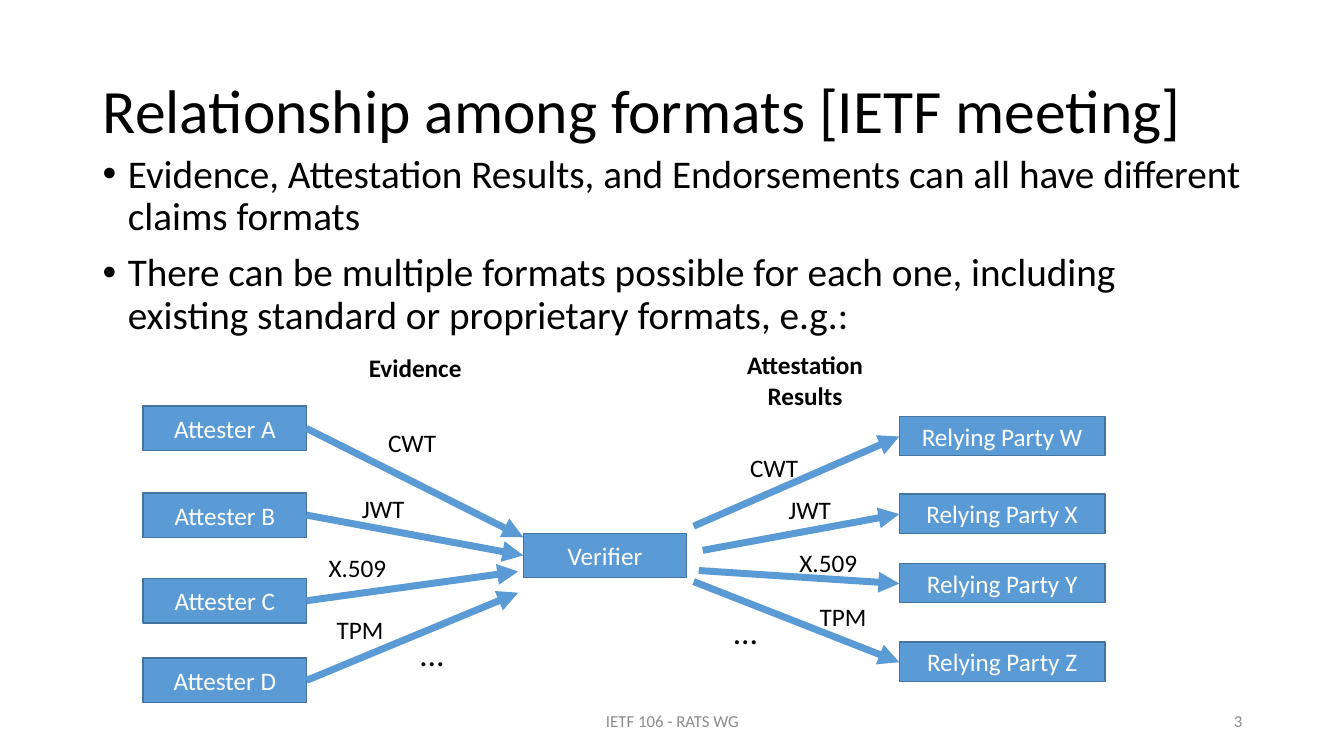
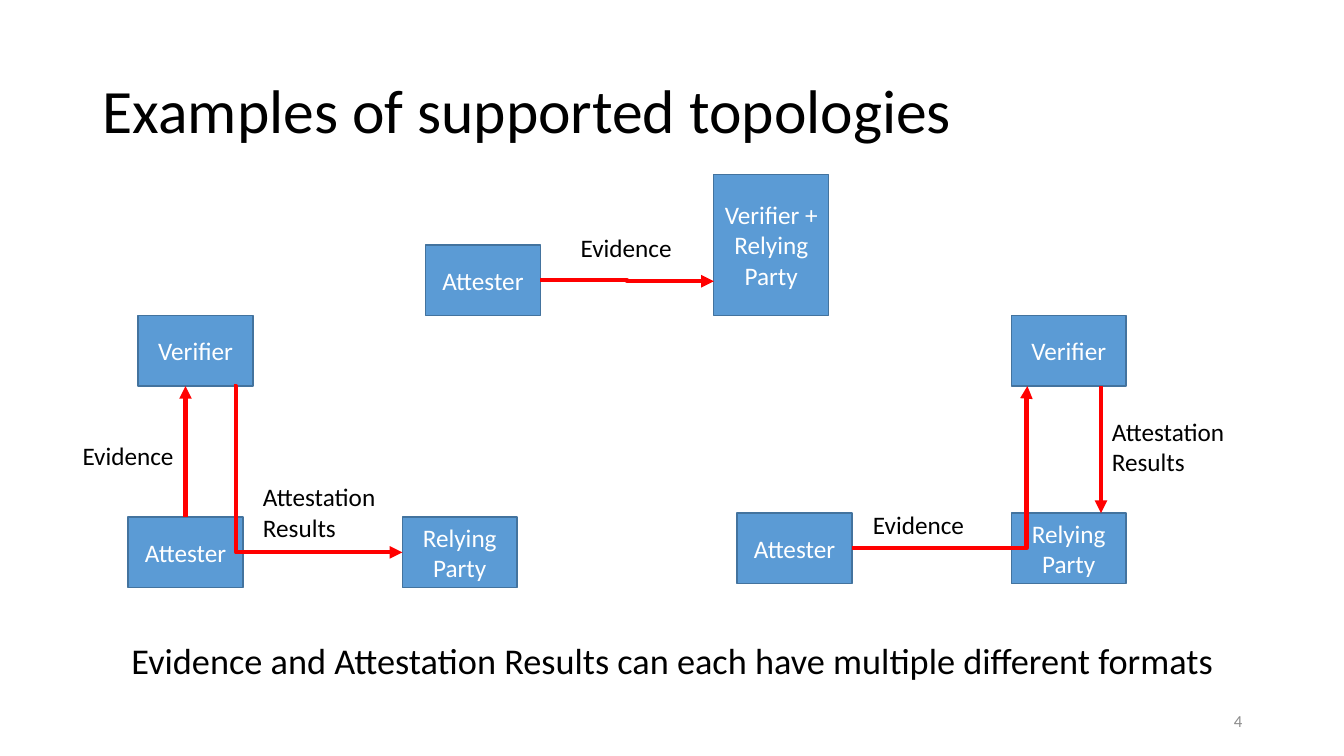
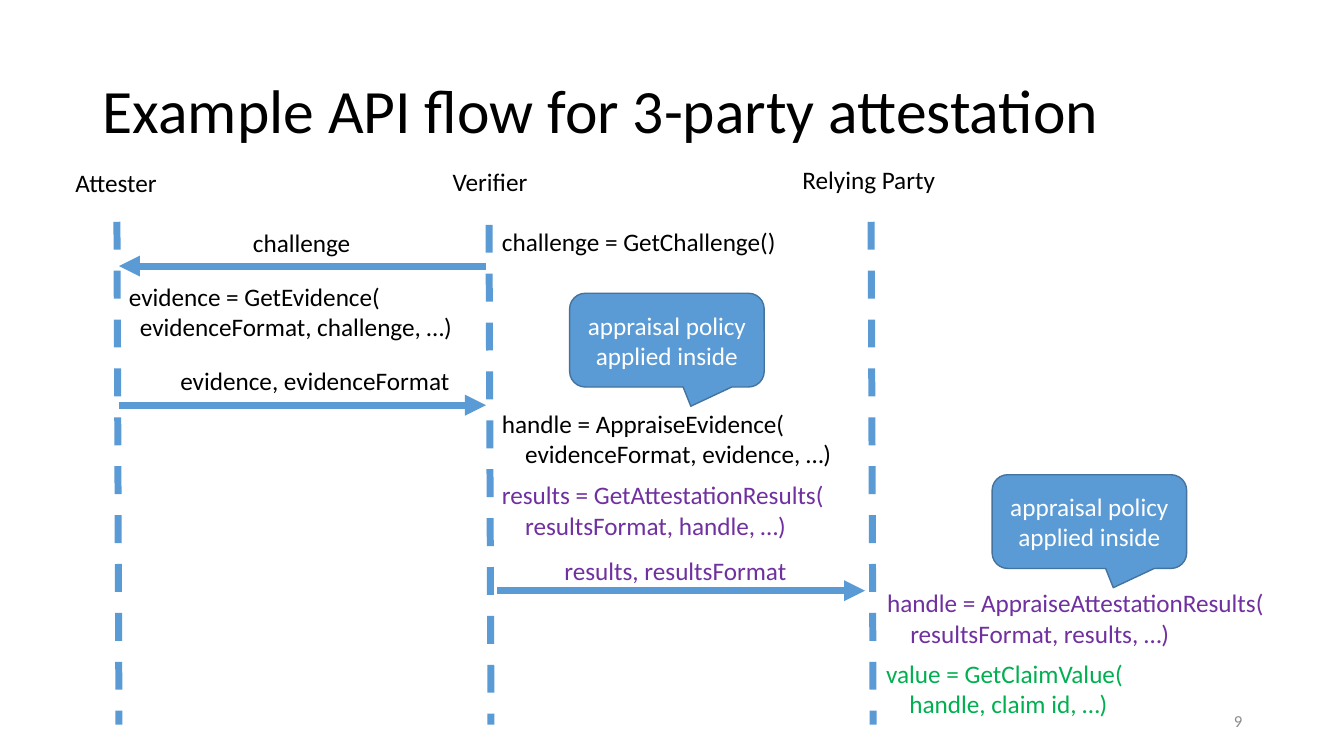
from lxml import etree
from pptx import Presentation, util as u
from pptx.dml.color import RGBColor
from pptx.enum import dml, shapes, text
from pptx.oxml.ns import qn

COLORS = {
    "ink": "000000", "white": "FFFFFF", "muted": "8C8C8C",
    "blue": "5B9BD5", "outline": "43739E", "red": "FF0000",
    "purple": "7030A0", "green": "00B050",
}
ALIGN = text.PP_ALIGN
MIDDLE = text.MSO_ANCHOR.MIDDLE


class Deck:
    """Holds the shared style and the current slide, and draws each kind of element."""

    font = "Calibri"

    def __init__(self):
        self.presentation = Presentation()
        self.presentation.slide_width = u.Inches(13.33)
        self.presentation.slide_height = u.Inches(7.5)
        self.slide = None

    def color(self, name):
        return RGBColor.from_string(COLORS[name])

    def start(self, title, number):
        self.slide = self.presentation.slides.add_slide(self.presentation.slide_layouts[6])
        self.block(title, 0.92, 0.4, 11.5, 1.45, 44, anchor=MIDDLE, line_spacing=0.9)
        self.block(str(number), 9.42, 6.95, 3, 0.4, 12, "muted", ALIGN.RIGHT, MIDDLE)

    def set_text(self, frame, content, size, color, align=ALIGN.LEFT, bold=False):
        frame.text = content
        for paragraph in frame.paragraphs:
            paragraph.alignment = align
            paragraph.font.name = self.font
            paragraph.font.size = u.Pt(size)
            paragraph.font.bold = bold
            paragraph.font.color.rgb = self.color(color)

    def indent(self, paragraph, left, first=0):
        properties = paragraph._p.get_or_add_pPr()
        properties.set("marL", str(u.Inches(left)))
        properties.set("indent", str(u.Inches(first)))
        return properties

    def block(self, content, left, top, width, height, size, color="ink",
              align=ALIGN.LEFT, anchor=text.MSO_ANCHOR.TOP, line_spacing=1.0, space_before=0):
        shape = self.slide.shapes.add_textbox(*map(u.Inches, (left, top, width, height)))
        frame = shape.text_frame
        frame.word_wrap = True
        frame.vertical_anchor = anchor
        self.set_text(frame, content, size, color, align)
        for paragraph in frame.paragraphs:
            paragraph.line_spacing = line_spacing
            paragraph.space_before = u.Pt(space_before)
        return frame

    def bullets(self, content, left, top, width, height):
        frame = self.block(content, left, top, width, height, 28,
                           line_spacing=0.9, space_before=10)
        for paragraph in frame.paragraphs:
            properties = self.indent(paragraph, 0.25, -0.25)
            font = etree.Element(qn("a:buFont"), typeface="Arial")
            bullet = etree.Element(qn("a:buChar"), char="•")
            properties.find(qn("a:spcBef")).addnext(font)
            font.addnext(bullet)

    def label(self, content, left, top, width, height=0.4, size=18, color="ink",
              align=ALIGN.LEFT, bold=False):
        shape = self.slide.shapes.add_textbox(*map(u.Inches, (left, top, width, height)))
        frame = shape.text_frame
        frame.word_wrap = False
        frame.auto_size = text.MSO_AUTO_SIZE.SHAPE_TO_FIT_TEXT
        self.set_text(frame, content, size, color, align, bold)
        return frame

    def call(self, content, left, top, width, color="ink", indent=0.23):
        frame = self.label(content, left, top, width, 0.71, color=color)
        for paragraph in frame.paragraphs[1:]:
            self.indent(paragraph, indent)

    def box(self, content, left, top, width, height, kind=shapes.MSO_SHAPE.RECTANGLE):
        shape = self.slide.shapes.add_shape(kind, *map(u.Inches, (left, top, width, height)))
        shape.shadow.inherit = False
        shape.fill.solid()
        shape.fill.fore_color.rgb = self.color("blue")
        shape.line.color.rgb = self.color("outline")
        shape.line.width = u.Pt(1)
        shape.text_frame.vertical_anchor = MIDDLE
        self.set_text(shape.text_frame, content, 18, "white", ALIGN.CENTER)
        return shape

    def callout(self, content, left, top):
        shape = self.box(content, left, top, 1.93, 0.93,
                         shapes.MSO_SHAPE.ROUNDED_RECTANGULAR_CALLOUT)
        for index, value in enumerate((0.123, 0.705, 0.167)):
            shape.adjustments[index] = value

    def line(self, start, end, color="blue", width=5, arrow=True, dashed=False, bend=None):
        kind = shapes.MSO_CONNECTOR.STRAIGHT if bend is None else shapes.MSO_CONNECTOR.ELBOW
        connector = self.slide.shapes.add_connector(kind, *map(u.Inches, (*start, *end)))
        connector.line.color.rgb = self.color(color)
        connector.line.width = u.Pt(width)
        if dashed:
            connector.line.dash_style = dml.MSO_LINE.DASH
        properties = connector.element.spPr
        if arrow:
            etree.SubElement(properties.find(qn("a:ln")), qn("a:tailEnd"), type="triangle")
        if bend is not None:
            guides = properties.find(qn("a:prstGeom")).get_or_add_avLst()
            etree.SubElement(guides, qn("a:gd"), name="adj1", fmla=f"val {round(bend * 100000)}")
        etree.SubElement(properties, qn("a:effectLst"))

    def flow(self, start, end, bend=None):
        self.line(start, end, "red", 3, bend=bend)


def formats(deck):
    deck.start("Relationship among formats [IETF meeting]", 3)
    deck.bullets(
        "Evidence, Attestation Results, and Endorsements can all have different claims formats\n"
        "There can be multiple formats possible for each one, including existing standard "
        "or proprietary formats, e.g.:", 0.92, 1.48, 11.5, 1.99)
    deck.block("IETF 106 - RATS WG", 4.42, 6.95, 4.5, 0.4, 12, "muted", ALIGN.CENTER, MIDDLE)
    deck.box("Verifier", 5.19, 5.29, 1.62, 0.44)
    attesters = [
        ("A", 4.03, (5.19, 5.33)), ("B", 4.89, (5.19, 5.51)),
        ("C", 5.74, (5.14, 5.67)), ("D", 6.53, (5.14, 5.88)),
    ]
    for name, top, target in attesters:
        deck.box(f"Attester {name}", 1.42, top, 1.62, 0.44)
        deck.line((3.04, top + 0.22), target)
    relying_parties = [
        ("W", 4.13, (6.88, 5.22)), ("X", 4.9, (6.97, 5.46)),
        ("Y", 5.59, (6.93, 5.66)), ("Z", 6.37, (6.88, 5.77)),
    ]
    for name, top, source in relying_parties:
        deck.box(f"Relying Party {name}", 8.92, top, 2.04, 0.39)
        deck.line(source, (8.92, top + 0.2))
    deck.label("Evidence", 3.56, 3.45, 1.12, bold=True)
    deck.label("Attestation\vResults", 7.3, 3.42, 1.37, 0.71, align=ALIGN.CENTER, bold=True)
    format_labels = [
        ("CWT", 0.68, (3.75, 4.19), (7.34, 4.44)),
        ("JWT", 0.63, (3.49, 4.84), (7.72, 4.86)),
        ("X.509", 0.78, (3.16, 5.43), (7.83, 5.38)),
        ("TPM", 0.67, (3.24, 6.05), (8.03, 5.92)),
    ]
    for name, width, *places in format_labels:
        for place in places:
            deck.label(name, *place, width)
    for place in ((4.07, 6.23), (7.18, 6.01)):
        deck.label("…", *place, 0.44, 0.5, size=24)


def topologies(deck):
    deck.start("Examples of supported topologies", 4)
    roles = [
        ("Attester", 1.27, 5.13), ("Verifier", 1.37, 3.13), ("Relying Party", 3.99, 5.13),
        ("Attester", 7.31, 5.09), ("Verifier", 10.03, 3.13), ("Relying Party", 10.03, 5.09),
        ("Attester", 4.22, 2.43),
    ]
    for name, left, top in roles:
        deck.box(name, left, top, 1.14, 0.7)
    deck.box("Verifier + Relying Party", 7.08, 1.73, 1.14, 1.4)
    deck.flow((1.84, 5.13), (1.84, 3.83))
    deck.flow((2.32, 3.83), (3.99, 5.48), bend=0.013)
    deck.flow((10.92, 3.83), (10.92, 5.09))
    deck.flow((8.45, 5.44), (10.19, 3.83), bend=0.995)
    deck.flow((5.36, 2.78), (7.08, 2.79), bend=0.5)
    for left, top in ((0.72, 4.32), (8.56, 5), (5.66, 2.26)):
        deck.label("Evidence", left, top, 1.12)
    for left, top in ((2.51, 4.73), (10.93, 4.08)):
        deck.label("Attestation\vResults", left, top, 1.33, 0.71)
    deck.block("Evidence and Attestation Results can each have multiple different formats",
               0.92, 6.33, 11.5, 0.57, 25.9, align=ALIGN.CENTER,
               line_spacing=0.9, space_before=10)


def api_flow(deck):
    deck.start("Example API flow for 3-party attestation", 9)
    lifelines = [
        ("Attester", 0.65, 1.61, 1.02, 1.16, 2.2),
        ("Verifier", 4.39, 1.6, 0.95, 4.85, 2.23),
        ("Relying Party", 7.86, 1.58, 1.53, 8.64, 2.2),
    ]
    for name, left, top, width, line_left, line_top in lifelines:
        deck.label(name, left, top, width)
        deck.line((line_left, line_top), (line_left + 0.02, 7.19), arrow=False, dashed=True)
    messages = [
        ("challenge", 2.41, 2.21, 1.18, "ink", 4.82, 1.18, 2.64),
        ("evidence, evidenceFormat", 1.69, 3.58, 2.91, "ink", 1.18, 4.82, 4.02),
        ("results, resultsFormat", 5.5, 5.46, 2.5, "purple", 4.93, 8.58, 5.86),
    ]
    for name, left, top, width, color, source, target, level in messages:
        deck.line((source, level), (target, level))
        deck.label(name, left, top, width, color=color)
    deck.call("challenge = GetChallenge()", 4.88, 2.2, 2.95)
    deck.call("evidence = GetEvidence(\nevidenceFormat, challenge, …)", 1.18, 2.74, 3.45,
              indent=0.11)
    deck.call("handle = AppraiseEvidence(\nevidenceFormat, evidence, …)", 4.88, 4, 3.51)
    deck.call("results = GetAttestationResults(\nresultsFormat, handle, …)",
              4.88, 4.71, 3.56, "purple")
    deck.call("handle = AppraiseAttestationResults(\nresultsFormat, results, …)",
              8.7, 5.78, 3.98, "purple")
    deck.call("value = GetClaimValue(\nhandle, claim id, …)", 8.69, 6.48, 2.58, "green")
    for left, top in ((5.65, 2.91), (9.84, 4.71)):
        deck.callout("appraisal policy applied inside", left, top)


deck = Deck()
formats(deck)
topologies(deck)
api_flow(deck)
deck.presentation.save("out.pptx")
